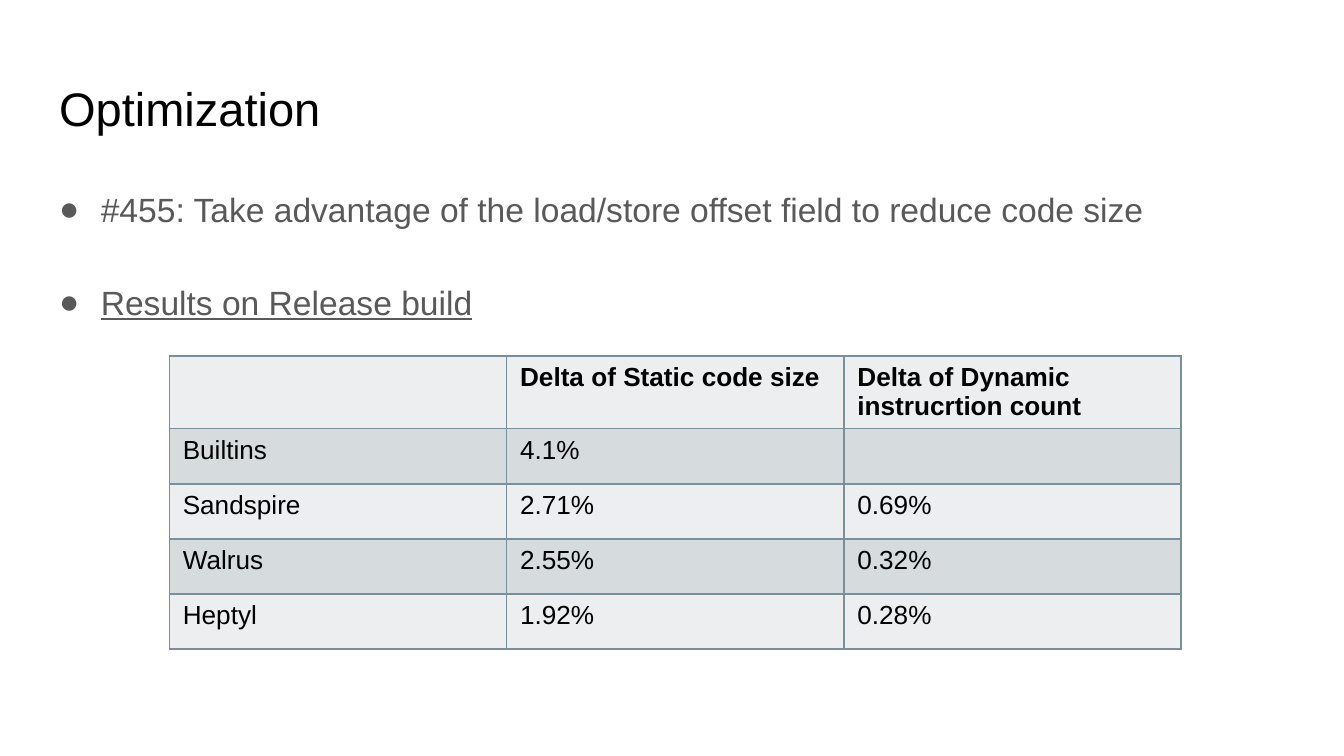
"""Build the Optimization slide with its bullets and results table."""
from dataclasses import dataclass

from lxml import etree
from pptx import Presentation
from pptx.dml.color import RGBColor
from pptx.enum.text import MSO_ANCHOR, MSO_AUTO_SIZE, PP_ALIGN
from pptx.oxml.ns import qn
from pptx.util import Inches, Pt

LEFT = PP_ALIGN.LEFT
TOP, MIDDLE = MSO_ANCHOR.TOP, MSO_ANCHOR.MIDDLE
NO_AUTOFIT = MSO_AUTO_SIZE.NONE
FONT = "Arial"
WHITE = RGBColor(0xFF, 0xFF, 0xFF)
BLACK = RGBColor(0, 0, 0)
GREY = RGBColor(0x59, 0x59, 0x59)
BORDER = RGBColor(0x78, 0x90, 0x9C)
BANDS = RGBColor(0xEC, 0xEE, 0xEF), RGBColor(0xD6, 0xDB, 0xDE)
COLUMN_WIDTH = 2.51
HEADER_HEIGHT = 0.54
ROW_HEIGHT = 0.41


@dataclass(frozen=True)
class Bullet:
    text: str
    space_before: float
    underline: bool = False


@dataclass(frozen=True)
class ResultRow:
    label: str
    static_size: str
    dynamic_count: str
    bold: bool = False


BULLETS = [
    Bullet("#455: Take advantage of the load/store offset field to reduce code size", 2),
    Bullet("Results on Release build", 25, underline=True),
]
RESULTS = [
    ResultRow("", "Delta of Static code size", "Delta of Dynamic instrucrtion count", bold=True),
    ResultRow("Builtins", "4.1%", ""),
    ResultRow("Sandspire", "2.71%", "0.69%"),
    ResultRow("Walrus", "2.55%", "0.32%"),
    ResultRow("Heptyl", "1.92%", "0.28%"),
]


def add_run(paragraph, text: str, size: float, color: RGBColor,
            bold: bool = False, underline: bool = False) -> None:
    """Append one formatted run."""
    run = paragraph.add_run()
    run.text = text
    font = run.font
    font.name, font.size, font.bold, font.underline = FONT, Pt(size), bold, underline
    font.color.rgb = color


def place(holder, top: float, height: float, anchor):
    """Position a placeholder and return its prepared text frame."""
    holder.left, holder.top = Inches(0.34), Inches(top)
    holder.width, holder.height = Inches(9.32), Inches(height)
    frame = holder.text_frame
    frame.word_wrap, frame.auto_size, frame.vertical_anchor = True, NO_AUTOFIT, anchor
    frame.margin_left = frame.margin_right = Inches(0.1)
    frame.margin_top = frame.margin_bottom = Inches(0.1)
    return frame


def add_bullet(paragraph, bullet: Bullet) -> None:
    """Fill a paragraph with a hanging round bullet."""
    paragraph.alignment = LEFT
    paragraph.line_spacing = 1.15
    paragraph.space_before, paragraph.space_after = Pt(bullet.space_before), Pt(0)
    properties = paragraph._p.get_or_add_pPr()
    properties.set("marL", str(Inches(0.31)))
    properties.set("indent", str(-Inches(0.31)))
    marker_color = etree.SubElement(properties, qn("a:buClr"))
    etree.SubElement(marker_color, qn("a:srgbClr"), val=str(GREY))
    etree.SubElement(properties, qn("a:buFont"), typeface=FONT)
    etree.SubElement(properties, qn("a:buChar"), char="●")
    add_run(paragraph, bullet.text, 18, GREY, underline=bullet.underline)


def format_cell(cell, text: str, bold: bool, band: RGBColor) -> None:
    """Give a cell its borders, fill and text."""
    properties = cell._tc.get_or_add_tcPr()
    for side in ("lnL", "lnR", "lnT", "lnB"):
        line = etree.SubElement(properties, qn(f"a:{side}"), w=str(Pt(1)))
        line_fill = etree.SubElement(line, qn("a:solidFill"))
        etree.SubElement(line_fill, qn("a:srgbClr"), val=str(BORDER))
    cell.fill.solid()
    cell.fill.fore_color.rgb = band
    cell.vertical_anchor = TOP
    if text:
        add_run(cell.text_frame.paragraphs[0], text, 14, BLACK, bold=bold)


def add_results(slide, results: list[ResultRow]) -> None:
    """Draw the banded results table."""
    heights = [HEADER_HEIGHT] + [ROW_HEIGHT] * (len(results) - 1)
    table = slide.shapes.add_table(
        len(results), 3, Inches(1.26), Inches(2.65),
        Inches(3 * COLUMN_WIDTH), Inches(sum(heights))).table
    table.first_row = table.horz_banding = False
    for column in table.columns:
        column.width = Inches(COLUMN_WIDTH)
    for index, (row, height, result) in enumerate(zip(table.rows, heights, results)):
        row.height = Inches(height)
        texts = result.label, result.static_size, result.dynamic_count
        for cell, text in zip(row.cells, texts):
            format_cell(cell, text, result.bold, BANDS[index % 2])


def main() -> None:
    """Build and save the slide."""
    deck = Presentation()
    deck.slide_width = Inches(10)
    deck.slide_height = deck.slide_width * 9 // 16
    slide = deck.slides.add_slide(deck.slide_layouts[1])
    slide.background.fill.solid()
    slide.background.fill.fore_color.rgb = WHITE

    heading = place(slide.shapes.title, 0.49, 0.63, MIDDLE).paragraphs[0]
    heading.alignment = LEFT
    add_run(heading, "Optimization", 25.2, BLACK)

    body = place(slide.placeholders[1], 1.26, 3.74, TOP)
    for index, bullet in enumerate(BULLETS):
        add_bullet(body.add_paragraph() if index else body.paragraphs[0], bullet)

    add_results(slide, RESULTS)
    deck.save("out.pptx")


main()
